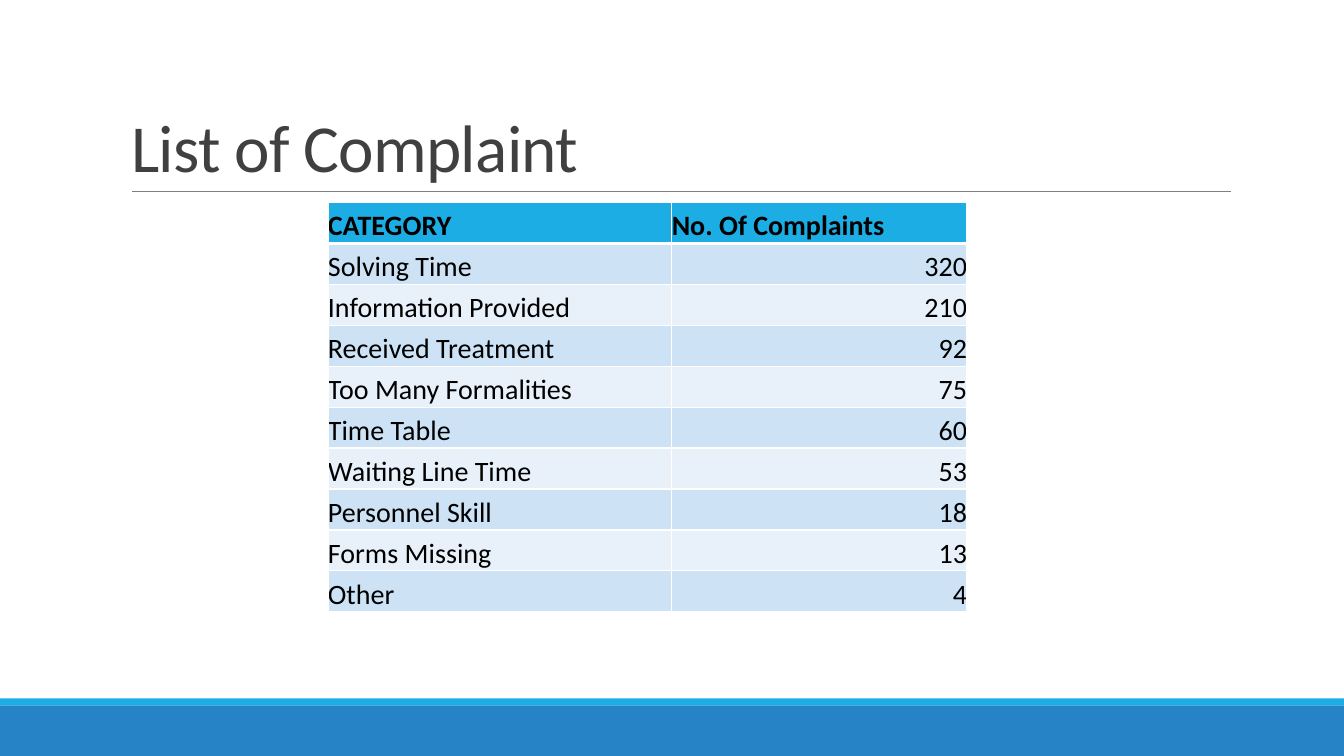
from lxml import etree
from pptx import Presentation
from pptx import util as u
from pptx.dml.color import RGBColor
from pptx.enum import shapes, text
from pptx.oxml import ns

COLORS = {"band": "2683C6", "accent": "1CADE4", "rule": "808080", "title": "404040",
          "ink": "000000", "odd": "CDE3F5", "even": "E8F1FA", "border": "FFFFFF"}
FONT = "Calibri"
COMPLAINTS = [("Solving Time", 320), ("Information Provided", 210),
              ("Received Treatment", 92), ("Too Many Formalities", 75),
              ("Time Table", 60), ("Waiting Line Time", 53),
              ("Personnel Skill", 18), ("Forms Missing", 13), ("Other", 4)]

deck = Presentation()
deck.slide_width, deck.slide_height = u.Inches(13.33), u.Inches(7.5)
# The slide is a grid of 100 columns by 100 rows
COL, ROW = deck.slide_width / 100, deck.slide_height / 100


def grid(left, top, width, height):
    return [round(n * unit) for n, unit in
            zip((left, top, width, height), (COL, ROW, COL, ROW))]


def rgb(name):
    return RGBColor.from_string(COLORS[name])


def write(frame, words, size, color="ink", bold=False, align=text.PP_ALIGN.LEFT,
          line_spacing=1.0, tracking=0):
    paragraph = frame.paragraphs[0]
    paragraph.alignment, paragraph.line_spacing = align, line_spacing
    run = paragraph.add_run()
    run.text = words
    run.font.name, run.font.size, run.font.bold = FONT, u.Pt(size), bold
    run.font.color.rgb = rgb(color)
    if tracking:
        run.font._element.set("spc", str(round(tracking * 100)))


def add_band(slide, box, color):
    band = slide.shapes.add_shape(shapes.MSO_SHAPE.RECTANGLE, *box)
    band.shadow.inherit = False
    band.fill.solid()
    band.fill.fore_color.rgb = rgb(color)
    band.line.fill.background()


def add_footer(slide, box):
    left, top, width, height = box
    accent = round(height * 0.12)
    add_band(slide, (left, top + accent, width, height - accent), "band")
    add_band(slide, (left, top, width, accent), "accent")


def add_heading(slide, box, words):
    left, top, width, height = box
    title = slide.shapes.title
    title.left, title.top, title.width, title.height = box
    frame = title.text_frame
    frame.word_wrap, frame.auto_size = True, text.MSO_AUTO_SIZE.NONE
    frame.vertical_anchor = text.MSO_ANCHOR.BOTTOM
    write(frame, words, 48, "title", line_spacing=0.85, tracking=-0.5)
    # Thin rule under the title
    base, inset = top + height, round(width * 0.01)
    rule = slide.shapes.add_connector(shapes.MSO_CONNECTOR.STRAIGHT,
                                      left + inset, base, left + width + inset // 10, base)
    rule.line.color.rgb, rule.line.width = rgb("rule"), u.Pt(0.5)
    etree.SubElement(rule._element.spPr, ns.qn("a:effectLst"))


def add_borders(cell, **widths):
    properties = cell._tc.get_or_add_tcPr()
    for side in "LRTB":
        line = etree.SubElement(properties, ns.qn("a:ln" + side),
                                w=str(u.Pt(widths.get(side, 1))))
        fill = etree.SubElement(line, ns.qn("a:solidFill"))
        etree.SubElement(fill, ns.qn("a:srgbClr"), val=COLORS["border"])


def add_complaint_table(slide, box):
    records = [("CATEGORY", "No. Of Complaints")] + COMPLAINTS
    table = slide.shapes.add_table(len(records), 2, *box).table
    category_width = round(box[2] * 0.538)
    table.columns[0].width = category_width
    table.columns[1].width = box[2] - category_width
    for r, record in enumerate(records):
        header = r == 0
        table.rows[r].height = box[3] // len(records)
        for c, value in enumerate(record):
            cell = table.cell(r, c)
            cell.margin_left = cell.margin_right = cell.margin_top = cell.margin_bottom = 0
            cell.vertical_anchor = text.MSO_ANCHOR.BOTTOM
            # Thick border between the header and the first complaint
            add_borders(cell, T=3 if r == 1 else 1, B=3 if header else 1)
            cell.fill.solid()
            cell.fill.fore_color.rgb = rgb("accent" if header else "odd" if r % 2 else "even")
            is_count = c == 1 and not header
            write(cell.text_frame, str(value), 20, bold=header,
                  align=text.PP_ALIGN.RIGHT if is_count else text.PP_ALIGN.LEFT)


def build_complaint_slide():
    slide = deck.slides.add_slide(deck.slide_layouts[5])
    add_footer(slide, grid(0, 92.4, 100, 7.6))
    add_heading(slide, grid(9, 4.13, 82.5, 21.2), "List of Complaint")
    add_complaint_table(slide, grid(24.4, 26.8, 47.56, 54.13))


build_complaint_slide()
deck.save("out.pptx")
